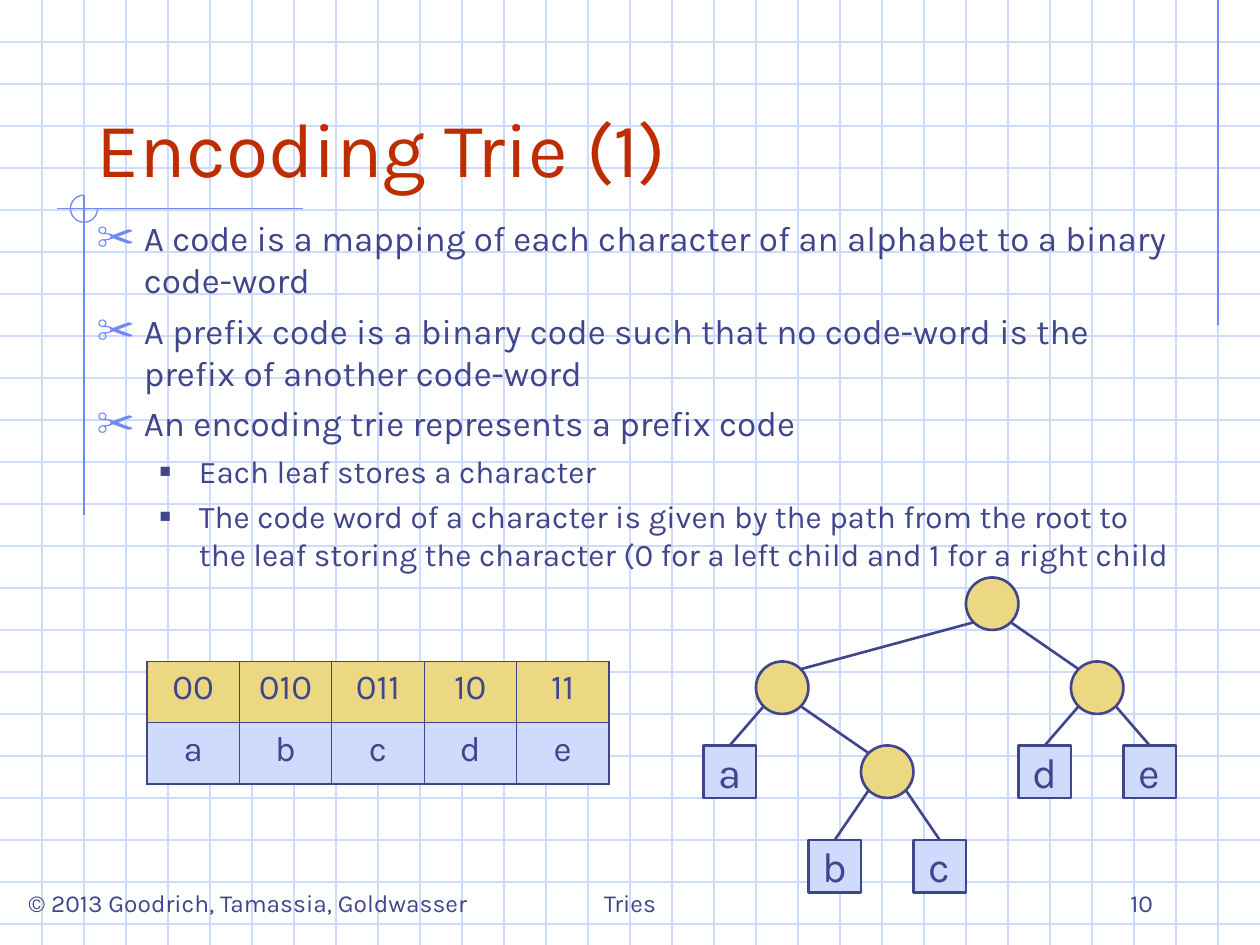
from math import sqrt

from lxml import etree
from pptx import Presentation
from pptx.dml.color import RGBColor
from pptx.enum.shapes import MSO_CONNECTOR, MSO_SHAPE
from pptx.enum.text import MSO_ANCHOR, MSO_AUTO_SIZE, PP_ALIGN
from pptx.oxml.ns import qn
from pptx.util import Pt

STRAIGHT = MSO_CONNECTOR.STRAIGHT
ARC, CIRCLE, SQUARE = MSO_SHAPE.ARC, MSO_SHAPE.OVAL, MSO_SHAPE.RECTANGLE
LEFT, CENTER, RIGHT = PP_ALIGN.LEFT, PP_ALIGN.CENTER, PP_ALIGN.RIGHT
TOP, MIDDLE, BOTTOM = MSO_ANCHOR.TOP, MSO_ANCHOR.MIDDLE, MSO_ANCHOR.BOTTOM
NO_AUTOFIT = MSO_AUTO_SIZE.NONE

FONT = "Karla"
INK, RED, BLUE = "40458C", "BE2D00", "6F89F7"
PALE, GOLD = "CFDBFD", "ECD882"
WIDTH, HEIGHT, GRID_STEP = 720, 540, 24
NODE = 30

BULLETS = [
    (0, "A code is a mapping of each character of an alphabet to a binary code-word"),
    (0, "A prefix code is a binary code such that no code-word is the prefix of another code-word"),
    (0, "An encoding trie represents a prefix code"),
    (1, "Each leaf stores a character"),
    (1, "The code word of a character is given by the path from the root to "
        "the leaf storing the character (0 for a left child and 1 for a right child"),
]
# level: text size, space before, left margin, hanging indent, bullet, colour, percent
LEVELS = [
    (20, 5, 27, 27, "✂", BLUE, 110),
    (18, 4.5, 58.5, 22.5, "■", INK, 60),
]
CODE_TABLE = [
    (GOLD, ["00", "010", "011", "10", "11"]),
    (PALE, ["a", "b", "c", "d", "e"]),
]
INNER_NODES = {"root": (552, 330), "right": (612, 378), "left": (432, 378), "middle": (492, 426)}
LEAVES = {"a": (402, 426), "b": (462, 480), "c": (522, 480), "d": (582, 426), "e": (642, 426)}
CHILDREN = {
    "root": ("left", "right"),
    "left": ("a", "middle"),
    "middle": ("b", "c"),
    "right": ("d", "e"),
}


def color(hex_string):
    return RGBColor.from_string(hex_string)


def write(paragraph, text, size=14, ink=INK, align=LEFT, before=0):
    paragraph.alignment = align
    paragraph.space_before = Pt(before)
    run = paragraph.add_run()
    run.text = text
    run.font.name, run.font.size = FONT, Pt(size)
    run.font.color.rgb = color(ink)


def place(shape, left, top, width, height):
    shape.left, shape.top, shape.width, shape.height = map(Pt, (left, top, width, height))


def add_line(slide, start, end, ink, weight=0.75):
    connector = slide.shapes.add_connector(STRAIGHT, *map(Pt, (*start, *end)))
    connector.line.color.rgb = color(ink)
    connector.line.width = Pt(weight)
    etree.SubElement(connector.element.spPr, qn("a:effectLst"))
    return connector


def add_outlined_shape(slide, kind, left, top, size, fill=None, ink=INK, weight=1.5):
    shape = slide.shapes.add_shape(kind, *map(Pt, (left, top, size, size)))
    shape.shadow.inherit = False
    if fill:
        shape.fill.solid()
        shape.fill.fore_color.rgb = color(fill)
    else:
        shape.fill.background()
    shape.line.color.rgb = color(ink)
    shape.line.width = Pt(weight)
    return shape


def add_label(slide, text, left, top, width, height, align=CENTER, anchor=BOTTOM, wrap=True):
    frame = slide.shapes.add_textbox(*map(Pt, (left, top, width, height))).text_frame
    frame.word_wrap = wrap
    frame.vertical_anchor = anchor
    write(frame.paragraphs[0], text, align=align)


def add_backdrop(slide):
    for y in range(GRID_STEP, HEIGHT, GRID_STEP):
        add_line(slide, (0, y), (WIDTH, y), PALE)
    for x in range(GRID_STEP, WIDTH, GRID_STEP):
        add_line(slide, (x, 0), (x, HEIGHT), PALE)
    add_line(slide, (696, 0), (696, 186), BLUE)
    add_line(slide, (173, 119.25), (32.5, 119.25), BLUE)
    add_line(slide, (48, 111.5), (48, 294.5), BLUE)
    arc = add_outlined_shape(slide, ARC, 40.25, 111.5, 15.5, ink=BLUE, weight=0.75)
    arc.adjustments[0] = 0
    arc.adjustments[1] = 162  # 270 degrees in units of 100000 / 60000


def prepare_placeholder(placeholder, anchor, *box):
    """Bring the placeholder in front of the backdrop, place it and return its text frame."""
    placeholder.element.getparent().append(placeholder.element)
    place(placeholder, *box)
    frame = placeholder.text_frame
    frame.auto_size = NO_AUTOFIT
    frame.word_wrap = True
    frame.vertical_anchor = anchor
    return frame


def set_bullet(paragraph, margin, hanging, character, ink, percent):
    properties = paragraph._p.get_or_add_pPr()
    properties.set("marL", str(Pt(margin)))
    properties.set("indent", str(-Pt(hanging)))
    bullet_color = etree.SubElement(properties, qn("a:buClr"))
    etree.SubElement(bullet_color, qn("a:srgbClr"), val=ink)
    etree.SubElement(properties, qn("a:buSzPct"), val=str(percent * 1000))
    etree.SubElement(properties, qn("a:buChar"), char=character)


def add_bullets(frame):
    for index, (level, text) in enumerate(BULLETS):
        paragraph = frame.add_paragraph() if index else frame.paragraphs[0]
        size, before, *bullet = LEVELS[level]
        paragraph.level = level
        write(paragraph, text, size=size, before=before)
        set_bullet(paragraph, *bullet)


def add_trie(slide):
    for position in INNER_NODES.values():
        add_outlined_shape(slide, CIRCLE, *position, NODE, GOLD)
    leaf_shapes = {}
    for letter, position in LEAVES.items():
        leaf = leaf_shapes[letter] = add_outlined_shape(slide, SQUARE, *position, NODE, PALE)
        leaf.text_frame.word_wrap = False
        leaf.text_frame.vertical_anchor = MIDDLE
        write(leaf.text_frame.paragraphs[0], letter, size=24, align=CENTER)

    radius = NODE / 2
    diagonal = radius / sqrt(2)
    for parent, children in CHILDREN.items():
        parent_x, parent_y = (value + radius for value in INNER_NODES[parent])
        for side, child in zip((-1, 1), children):
            start = (parent_x + side * diagonal, parent_y + diagonal)
            left, top = INNER_NODES.get(child) or LEAVES[child]
            end = (left + radius - side * diagonal, top + radius - diagonal)
            edge = add_line(slide, start, end, INK, 1.5)
            if child in leaf_shapes:
                edge.end_connect(leaf_shapes[child], 0)


def set_borders(cell, weights):
    properties = cell._tc.get_or_add_tcPr()
    for side, weight in weights.items():
        line = etree.SubElement(properties, qn(f"a:ln{side}"), w=str(Pt(weight)))
        fill = etree.SubElement(line, qn("a:solidFill"))
        etree.SubElement(fill, qn("a:srgbClr"), val=INK)


def add_code_table(slide):
    rows, columns = len(CODE_TABLE), len(CODE_TABLE[0][1])
    table = slide.shapes.add_table(rows, columns, *map(Pt, (84, 378, 264, 70))).table
    table.first_row = table.horz_banding = False
    outer, inner = 1.08, 0.45
    for row, (fill, texts) in enumerate(CODE_TABLE):
        for column, text in enumerate(texts):
            cell = table.cell(row, column)
            set_borders(cell, {
                "L": outer if column == 0 else inner,
                "R": outer if column == columns - 1 else inner,
                "T": outer if row == 0 else inner,
                "B": outer if row == rows - 1 else inner,
            })
            cell.fill.solid()
            cell.fill.fore_color.rgb = color(fill)
            write(cell.text_frame.paragraphs[0], text, size=20, align=CENTER, before=5)


def main():
    presentation = Presentation()
    presentation.slide_width, presentation.slide_height = Pt(WIDTH), Pt(HEIGHT)
    slide = presentation.slides.add_slide(presentation.slide_layouts[1])
    add_backdrop(slide)
    add_label(slide, "© 2013 Goodrich, Tamassia, Goldwasser", 2, 504, 279.5, 24.5,
              anchor=TOP, wrap=False)
    add_label(slide, "Tries", 246, 492, 228, 36)
    add_label(slide, "10", 516, 492, 150, 36, align=RIGHT)
    title = prepare_placeholder(slide.shapes.title, BOTTOM, 48, 24, 612, 90)
    write(title.paragraphs[0], "Encoding Trie (1)", size=44, ink=RED)
    add_bullets(prepare_placeholder(slide.placeholders[1], TOP, 48, 120, 630, 234))
    add_trie(slide)
    add_code_table(slide)
    presentation.save("out.pptx")


if __name__ == "__main__":
    main()
